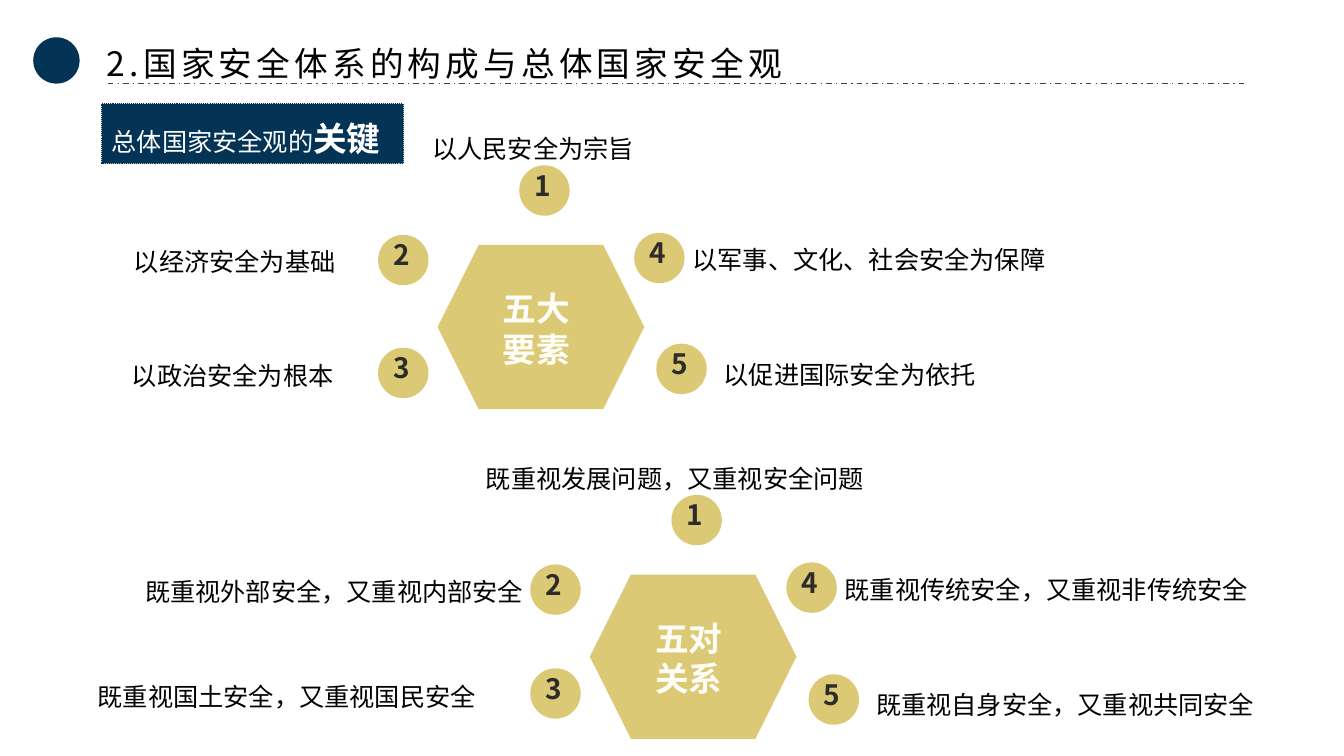
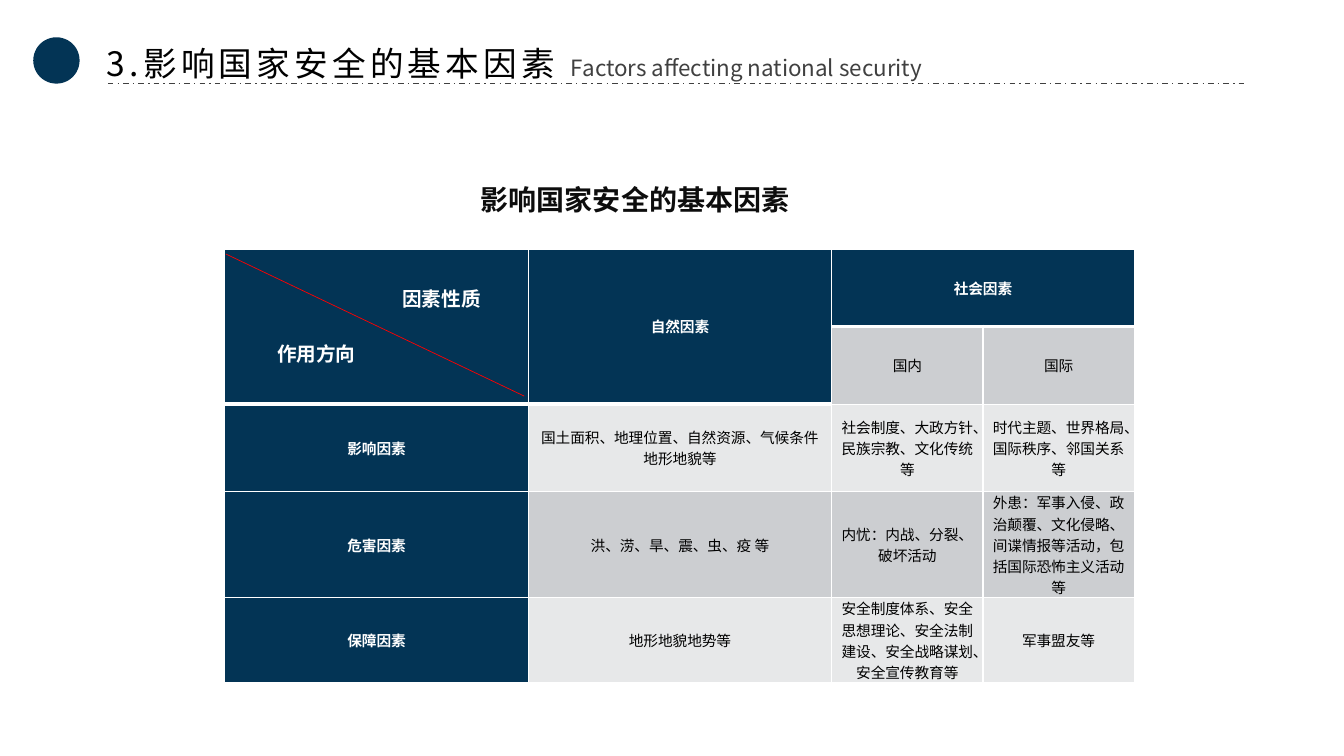
from lxml.etree import SubElement
from pptx import Presentation
from pptx.dml.color import RGBColor
from pptx.enum.dml import MSO_LINE
from pptx.enum.shapes import MSO_CONNECTOR, MSO_SHAPE
from pptx.enum.text import MSO_ANCHOR, PP_ALIGN
from pptx.oxml.ns import qn
from pptx.util import Inches, Pt

HUES = {
    "navy": "033455", "gold": "DCC975", "cream": "FFFDF8", "ink": "2D2C2B",
    "gray": "404040", "black": "000000", "white": "FFFFFF", "red": "FF0000",
    "head": "0D0D0D", "pale": "E7E8E9", "mid": "CCCED1",
}
SANS = "Noto Sans CJK SC"

TITLES = [
    [("2.国家安全体系的构成与总体国家安全观", 24, "black", 3)],
    [("3.影响国家安全的基本因素 ", 24, "black", 3),
     ("Factors affecting national security", 16, "gray", 0)],
]

BADGE = [("总体国家安全观的", 18, False), ("关键", 24, True)]

# Hexagon corner, heading, then per item: text, label left, top, width, dot top
RINGS = [
    (4.34, 2.43, ["五大", "要素"], [
        ("以人民安全为宗旨", 4.19, 1.12, 2.56, 1.64),
        ("以经济安全为基础", 1.23, 2.24, 2.56, 2.33),
        ("以政治安全为根本", 1.21, 3.38, 2.56, 3.45),
        ("以军事、文化、社会安全为保障", 6.77, 2.22, 4.3, 2.31),
        ("以促进国际安全为依托", 7.08, 3.37, 3.03, 3.41),
    ]),
    (5.85, 5.7, ["五对", "关系"], [
        ("既重视发展问题，又重视安全问题", 4.72, 4.4, 4.38, 4.91),
        ("既重视外部安全，又重视内部安全", 1.34, 5.52, 3.97, 5.6),
        ("既重视国土安全，又重视国民安全", 0.87, 6.56, 4.41, 6.63),
        ("既重视传统安全，又重视非传统安全", 8.28, 5.5, 4.3, 5.58),
        ("既重视自身安全，又重视共同安全", 8.59, 6.64, 3.99, 6.69),
    ]),
]
DOT_X = [0.81, -0.59, -0.59, 1.95, 2.17]  # dot left, from the hexagon's left

HEADING = "影响国家安全的基本因素"
COLS = [3.01, 3.01, 1.5, 1.5]
ROWS = [0.77, 0.77, 0.87, 0.87, 0.84]
CELLS = [
    ["", "自然因素", "社会因素", ""],
    ["", "", "国内", "国际"],
    ["影响因素", "国土面积、地理位置、自然资源、气候条件地形地貌等",
     "社会制度、大政方针、民族宗教、文化传统等", "时代主题、世界格局、国际秩序、邻国关系等"],
    ["危害因素", "洪、涝、旱、震、虫、疫 等", "内忧：内战、分裂、破坏活动",
     "外患：军事入侵、政治颠覆、文化侵略、间谍情报等活动，包括国际恐怖主义活动等"],
    ["保障因素", "地形地貌地势等",
     "安全制度体系、安全思想理论、安全法制建设、安全战略谋划、安全宣传教育等", "军事盟友等"],
]
MERGES = [((0, 0), (1, 0)), ((0, 1), (1, 1)), ((0, 2), (0, 3))]
CORNER = [("作用方向", 2.65, 3.34, 1.16), ("因素性质", 3.89, 2.8, 1.05)]


def rgb(name):
    return RGBColor.from_string(HUES[name])


def style(run, size, hue, bold=False, face=SANS, gap=None):
    """Format a run; gap is the letter spacing in points."""
    font = run.font
    font.size, font.bold, font.name = Pt(size), bold, face
    font.color.rgb = rgb(hue)
    props = run._r.get_or_add_rPr()
    SubElement(props, qn("a:ea")).set("typeface", SANS)
    if gap is not None:
        props.set("spc", str(gap * 100))


def write(frame, lines, size, hue, bold=False, face=SANS,
          align=PP_ALIGN.LEFT, space=None):
    frame.word_wrap = True
    frame.text = "\n".join(lines)
    for para in frame.paragraphs:
        para.alignment = align
        if space:
            para.line_spacing = space
        for run in para.runs:
            style(run, size, hue, bold, face)


def label(shapes, box, lines, *args, **opts):
    text = shapes.add_textbox(*map(Inches, box))
    write(text.text_frame, lines, *args, **opts)


def solid(shapes, kind, box, hue):
    shape = shapes.add_shape(kind, *map(Inches, box))
    shape.shadow.inherit = False
    shape.fill.solid()
    shape.fill.fore_color.rgb = rgb(hue)
    shape.line.fill.background()
    return shape


def rule(shapes, ends, hue, width, dash=None):
    line = shapes.add_connector(MSO_CONNECTOR.STRAIGHT, *map(Inches, ends))
    line.line.color.rgb = rgb(hue)
    line.line.width = Pt(width)
    if dash:
        line.line.dash_style = dash
    SubElement(line._element.spPr, qn("a:effectLst"))


def start(deck, parts):
    """Add a slide with the shared dot, title and dashed rule."""
    slide = deck.slides.add_slide(deck.slide_layouts[5])
    title = slide.shapes.title
    title.left, title.top = Inches(0.96), Inches(0.32)
    title.width, title.height = Inches(11.4), Inches(0.54)
    frame = title.text_frame
    frame.vertical_anchor = MSO_ANCHOR.MIDDLE
    para = frame.paragraphs[0]
    para.alignment, para.line_spacing = PP_ALIGN.LEFT, 1.2
    for text, size, hue, gap in parts:
        run = para.add_run()
        run.text = text
        style(run, size, hue, gap=gap)
    solid(slide.shapes, MSO_SHAPE.OVAL, (0.33, 0.37, 0.46, 0.46), "navy")
    rule(slide.shapes, (1.07, 0.83, 12.36, 0.83), "gray", 1, MSO_LINE.DASH_DOT)
    return slide.shapes


def ring(shapes, left, top, head, items):
    """Draw a hexagon with its five numbered labels."""
    core = shapes.add_group_shape().shapes
    solid(core, MSO_SHAPE.HEXAGON, (left, top, 2.05, 1.63), "gold")
    label(core, (left + 0.55, top + 0.38, 1.25, 0.91), head, 24, "cream", True,
          align=PP_ALIGN.JUSTIFY)
    for num, (item, shift) in enumerate(zip(items, DOT_X), 1):
        text, x, y, wide, dot_y = item
        dot_x = left + shift
        node = shapes.add_group_shape().shapes
        label(node, (x, y, wide, 0.56), [text], 18, "black",
              align=PP_ALIGN.JUSTIFY, space=1.5)
        solid(node, MSO_SHAPE.OVAL, (dot_x, dot_y, 0.5, 0.5), "gold")
        label(node, (dot_x + 0.05, dot_y - 0.02, 0.54, 0.44), [str(num)],
              20, "ink", True)


def badge(shapes):
    box = solid(shapes, MSO_SHAPE.RECTANGLE, (1.01, 1.03, 2.99, 0.59), "navy")
    box.line.color.rgb = rgb("navy")
    box.line.width = Pt(0.75)
    box.line.dash_style = MSO_LINE.ROUND_DOT
    frame = box.text_frame
    frame.vertical_anchor = MSO_ANCHOR.MIDDLE
    para = frame.paragraphs[0]
    para.alignment, para.line_spacing = PP_ALIGN.LEFT, 1.2
    for text, size, bold in BADGE:
        run = para.add_run()
        run.text = text
        style(run, size, "white", bold, "Arial")


def edge(cell, side, width):
    line = SubElement(cell._tc.get_or_add_tcPr(), qn("a:ln" + side))
    line.set("w", str(Pt(width)))
    fill = SubElement(line, qn("a:solidFill"))
    SubElement(fill, qn("a:srgbClr")).set("val", HUES["white"])


def grid(shapes):
    """Build the table of factors."""
    box = map(Inches, (2.23, 2.47, sum(COLS), sum(ROWS)))
    table = shapes.add_table(len(ROWS), len(COLS), *box).table
    for col, wide in zip(table.columns, COLS):
        col.width = Inches(wide)
    for row, tall in zip(table.rows, ROWS):
        row.height = Inches(tall)
    for r, texts in enumerate(CELLS):
        for c, text in enumerate(texts):
            cell = table.cell(r, c)
            top = r == 0 or (r == 1 and c < 2)
            dark = top or c == 0
            edge(cell, "L", 1)
            edge(cell, "R", 1)
            if r == 0:
                edge(cell, "T", 1)
            edge(cell, "B", 3 if top else 1)
            cell.fill.solid()
            cell.fill.fore_color.rgb = rgb(
                "navy" if dark else "mid" if r % 2 else "pale")
            cell.vertical_anchor = MSO_ANCHOR.MIDDLE
            cell.margin_left = cell.margin_right = Inches(0.07)
            cell.margin_top = cell.margin_bottom = 0
            plain = not dark and (r == 1 or c == 3)
            write(cell.text_frame, [text], 10.5, "white" if dark else "black",
                  dark, "Calibri" if plain else "Arial", PP_ALIGN.CENTER)
    for first, last in MERGES:
        table.cell(*first).merge(table.cell(*last))


def main():
    deck = Presentation()
    deck.slide_width, deck.slide_height = Inches(13.33), Inches(7.5)

    shapes = start(deck, TITLES[0])
    for part in RINGS:
        ring(shapes, *part)
    badge(shapes)

    shapes = start(deck, TITLES[1])
    grid(shapes)
    for text, x, y, wide in CORNER:
        box = solid(shapes, MSO_SHAPE.RECTANGLE, (x, y, wide, 0.27), "navy")
        box.text_frame.vertical_anchor = MSO_ANCHOR.TOP
        write(box.text_frame, [text], 14, "white", True, "Arial", PP_ALIGN.JUSTIFY)
    rule(shapes, (2.24, 2.52, 5.2, 3.93), "red", 0.5)
    label(shapes, (4.67, 1.76, 4.11, 0.44), [HEADING], 20, "head", True,
          "Roboto Condensed")

    deck.save("out.pptx")


if __name__ == "__main__":
    main()
